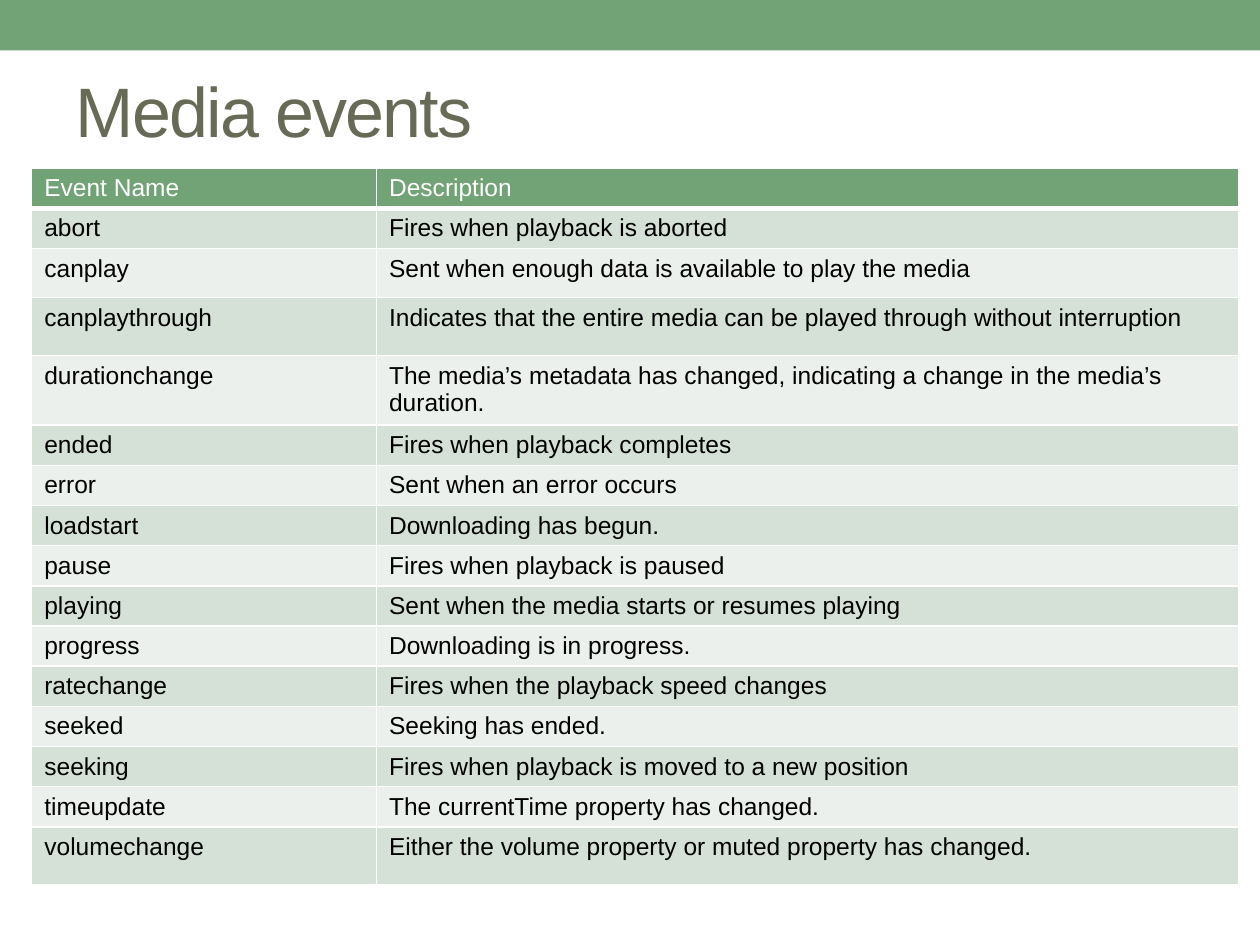
import pptx
import pptx.util
import pptx.dml.color
import pptx.enum.shapes
import pptx.enum.text
import pptx.oxml
import pptx.oxml.ns
from pptx.util import Cm, Pt

ROWS = [
    ("Event Name", "Description"),
    ("abort", "Fires when playback is aborted"),
    ("canplay", "Sent when enough data is available to play the media"),
    ("canplaythrough", "Indicates that the entire media can be played through without interruption"),
    ("durationchange", "The media’s metadata has changed, indicating a change in the media’s duration."),
    ("ended", "Fires when playback completes"),
    ("error", "Sent when an error occurs"),
    ("loadstart", "Downloading has begun."),
    ("pause", "Fires when playback is paused"),
    ("playing", "Sent when the media starts or resumes playing"),
    ("progress", "Downloading is in progress."),
    ("ratechange", "Fires when the playback speed changes"),
    ("seeked", "Seeking has ended."),
    ("seeking", "Fires when playback is moved to a new position"),
    ("timeupdate", "The currentTime property has changed."),
    ("volumechange", "Either the volume property or muted property has changed."),
]
TALL = {"canplay": 0.99, "canplaythrough": 1.17, "durationchange": 1.4, "volumechange": 1.17}


def color(text):
    """Turn a hex string into a colour."""
    return pptx.dml.color.RGBColor.from_string(text)


class Deck:
    """Hold the style and the current slide."""

    face = "Arial"
    green, olive, white, black = "72A376", "676A55", "FFFFFF", "000000"
    bands = ("EBF0EC", "D5E0D6")

    def __init__(self, show):
        self.slide = show.slides.add_slide(show.slide_layouts[5])

    def font(self, para, size, tint):
        """Set the font of a paragraph."""
        para.font.name = self.face
        para.font.size = Pt(size)
        para.font.color.rgb = color(tint)

    def bar(self, left, top, width, height):
        """Add a plain green bar."""
        bar = self.slide.shapes.add_shape(
            pptx.enum.shapes.MSO_SHAPE.RECTANGLE, Cm(left), Cm(top), Cm(width), Cm(height))
        bar.shadow.inherit = False
        bar.fill.solid()
        bar.fill.fore_color.rgb = color(self.green)
        bar.line.fill.background()

    def title(self, text, left, top, width, height):
        """Fill and place the title."""
        title = self.slide.shapes.title
        title.left, title.top = Cm(left), Cm(top)
        title.width, title.height = Cm(width), Cm(height)
        frame = title.text_frame
        frame.text = text
        frame.vertical_anchor = pptx.enum.text.MSO_ANCHOR.MIDDLE
        para = frame.paragraphs[0]
        para.alignment = pptx.enum.text.PP_ALIGN.LEFT
        self.font(para, 40, self.olive)
        para.runs[0]._r.get_or_add_rPr().set("spc", "-100")

    def edge(self, cell, side, width):
        """Draw one white cell border."""
        cell._tc.get_or_add_tcPr().append(pptx.oxml.parse_xml(
            f'<a:ln{side} {pptx.oxml.ns.nsdecls("a")} w="{Pt(width)}"><a:solidFill>'
            f'<a:srgbClr val="{self.white}"/></a:solidFill></a:ln{side}>'))

    def cell(self, cell, text, row):
        """Fill and style one cell."""
        head = row == 0
        cell.text = text
        self.font(cell.text_frame.paragraphs[0], 14, self.white if head else self.black)
        for side in "LRTB":
            thick = (head and side == "B") or (row == 1 and side == "T")
            self.edge(cell, side, 3 if thick else 1)
        cell.fill.solid()
        cell.fill.fore_color.rgb = color(self.green if head else self.bands[row % 2])

    def table(self, rows, left, top, widths, low, tall):
        """Add a banded table."""
        highs = [tall.get(row[0], low) for row in rows]
        table = self.slide.shapes.add_table(
            len(rows), len(widths), Cm(left), Cm(top), Cm(sum(widths)), Cm(sum(highs))).table
        for col, width in zip(table.columns, widths):
            col.width = Cm(width)
        for num, (row, high) in enumerate(zip(rows, highs)):
            table.rows[num].height = Cm(high)
            for col, text in enumerate(row):
                self.cell(table.cell(num, col), text, num)


def main():
    """Build the slide and save it."""
    show = pptx.Presentation()
    show.slide_width, show.slide_height = Cm(25.4), Cm(19.05)
    deck = Deck(show)
    deck.bar(0, 0, 25.4, 1.02)
    deck.title("Media events", 1.27, 0.84, 10.8, 2.74)
    deck.table(ROWS, 0.64, 3.39, (6.95, 17.39), 0.69, TALL)
    show.save("out.pptx")


if __name__ == "__main__":
    main()
